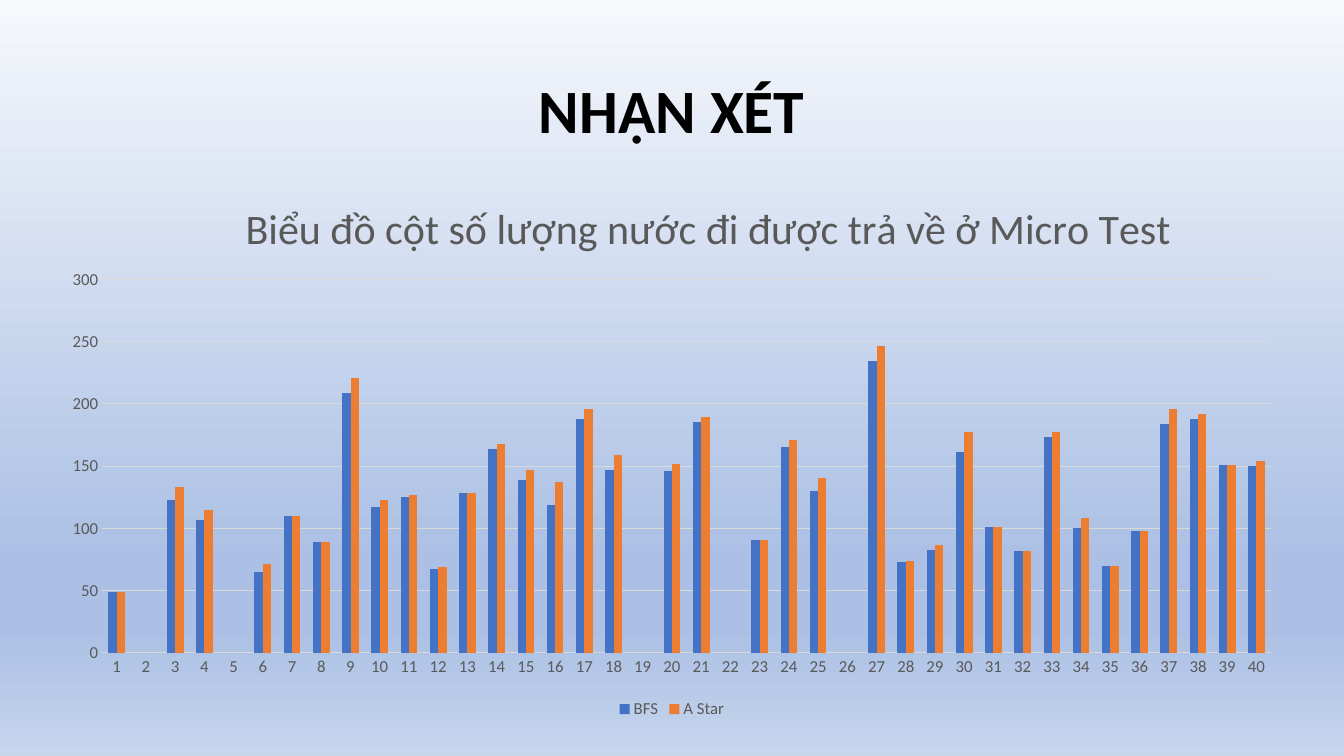
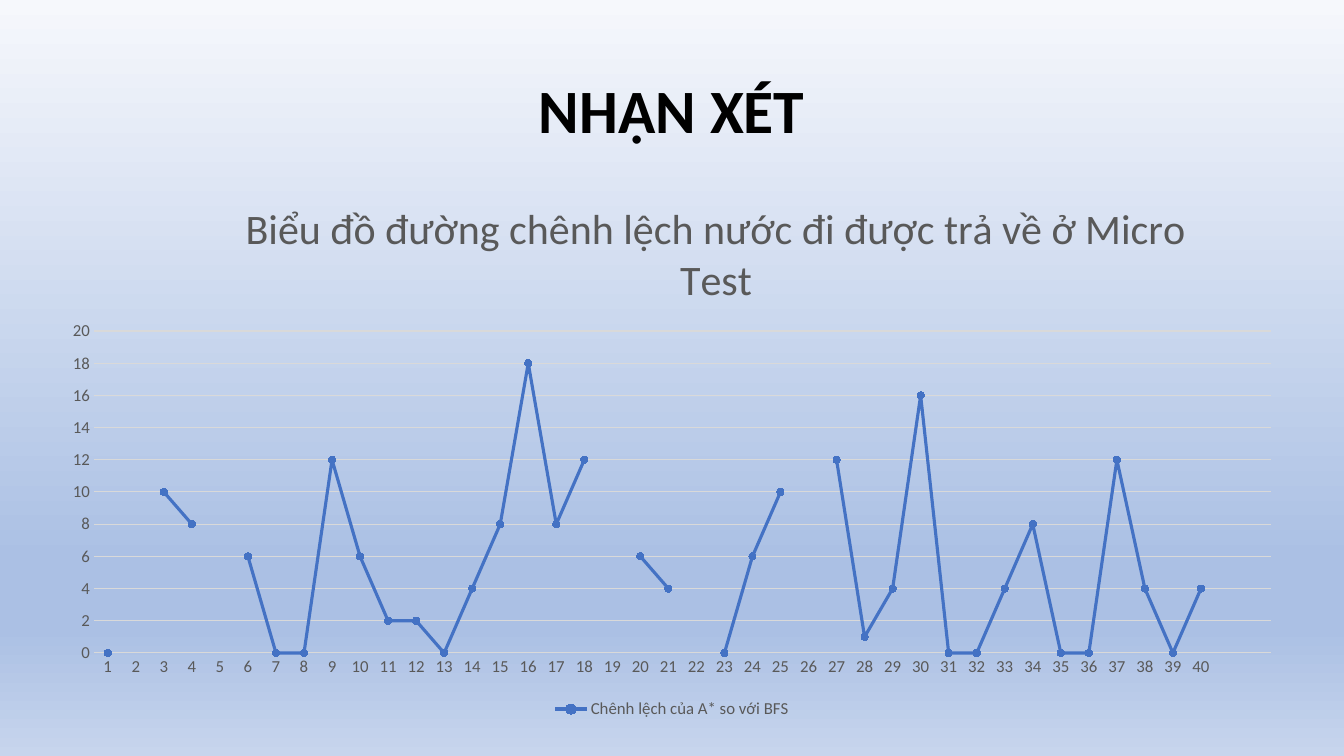
from dataclasses import dataclass

from lxml.etree import SubElement
from pptx import Presentation
from pptx.chart.axis import CategoryAxis, ValueAxis
from pptx.chart.chart import Chart
from pptx.chart.data import CategoryChartData
from pptx.dml.color import RGBColor
from pptx.enum.chart import XL_CHART_TYPE, XL_LEGEND_POSITION, XL_MARKER_STYLE, XL_TICK_MARK
from pptx.enum.text import MSO_ANCHOR, PP_ALIGN
from pptx.oxml.ns import qn
from pptx.oxml.xmlchemy import BaseOxmlElement
from pptx.presentation import Presentation as Deck
from pptx.slide import Slide
from pptx.text.text import Font
from pptx.util import Pt

FONT = "Calibri"
BLACK, GREY, GRID = "000000", "595959", "D9D9D9"
BLUE, ORANGE = "4472C4", "ED7D31"
SKY_STOPS = [(0, "F6F8FC"), (74, "ABC0E4"), (83, "ABC0E4"), (100, "C7D5ED")]
HEADING = "NHẬN XÉT"
LEVELS = [str(level) for level in range(1, 41)]

BFS_MOVES = [
    49, None, 123, 107, None, 65, 110, 89, 209, 117, 125, 67, 128, 164,
    139, 119, 188, 147, None, 146, 185, None, 91, 165, 130, None, 234, 73,
    83, 161, 101, 82, 173, 100, 70, 98, 184, 188, 151, 150,
]
A_STAR_MOVES = [
    49, None, 133, 115, None, 71, 110, 89, 221, 123, 127, 69, 128, 168,
    147, 137, 196, 159, None, 152, 189, None, 91, 171, 140, None, 246, 74,
    87, 177, 101, 82, 177, 108, 70, 98, 196, 192, 151, 154,
]
MOVE_GAPS = [
    0, None, 10, 8, None, 6, 0, 0, 12, 6, 2, 2, 0, 4,
    8, 18, 8, 12, None, 6, 4, None, 0, 6, 10, None, 12, 1,
    4, 16, 0, 0, 4, 8, 0, 0, 12, 4, 0, 4,
]


@dataclass(frozen=True)
class Box:
    """Left, top, width and height, in points."""

    left: float
    top: float
    width: float
    height: float


@dataclass(frozen=True)
class Measure:
    """One named series of the test levels."""

    name: str
    values: list[int | None]
    color: str


@dataclass(frozen=True)
class Comparison:
    """One chart slide; plot is measured from the chart's corner."""

    title: str
    kind: XL_CHART_TYPE
    categories: list[str]
    measures: list[Measure]
    maximum: int
    step: int
    plot: Box


HEADING_BOX = Box(66, 28.8, 828, 104.4)
CHART_BOX = Box(34, 129, 892, 387.5)
CHART_TITLE_SPOT = Box(136, 8, 0, 0)

COMPARISONS = [
    Comparison(
        "Biểu đồ cột số lượng nước đi được trả về ở Micro Test",
        XL_CHART_TYPE.COLUMN_CLUSTERED,
        LEVELS,
        [Measure("BFS", BFS_MOVES, BLUE), Measure("A Star", A_STAR_MOVES, ORANGE)],
        300,
        50,
        Box(39, 70.5, 835, 267),
    ),
    Comparison(
        "Biểu đồ đường chênh lệch nước đi được trả về ở Micro Test",
        XL_CHART_TYPE.LINE_MARKERS,
        LEVELS + ["", ""],
        [Measure("Chênh lệch của A* so với BFS", MOVE_GAPS, BLUE)],
        20,
        2,
        Box(33, 107.5, 841, 230),
    ),
]


def rgb(color: str) -> RGBColor:
    """Turn a hex string into a colour."""
    return RGBColor.from_string(color)


def style_font(font: Font, size: float, color: str, bold: bool = False) -> None:
    """Set the typeface, size, colour and weight."""
    font.name = FONT
    font.size = Pt(size)
    font.bold = bold
    font.color.rgb = rgb(color)


def paint_background(deck: Deck) -> None:
    """Give the master the vertical sky gradient."""
    master = deck.slide_master
    fill = master.background.fill
    fill.gradient()
    fill.gradient_angle = 270
    stops = master.element.find(".//" + qn("p:bgPr") + "//" + qn("a:gsLst"))
    for stop in list(stops):
        stops.remove(stop)
    for percent, color in SKY_STOPS:
        stop = SubElement(stops, qn("a:gs"), pos=str(percent * 1000))
        SubElement(stop, qn("a:srgbClr"), val=color)


def set_layout(parent: BaseOxmlElement, spot: Box) -> None:
    """Fix the place of a chart part, and its size where one is given."""
    layout = parent.find(qn("c:layout"))
    if layout is None:
        layout = SubElement(parent, qn("c:layout"))
        parent.insert(0 if parent.find(qn("c:tx")) is None else 1, layout)
    manual = SubElement(layout, qn("c:manualLayout"))
    settings: list[tuple[str, str]] = []
    if spot.width:
        settings.append(("layoutTarget", "inner"))
    settings += [("xMode", "edge"), ("yMode", "edge")]
    settings += [
        ("x", f"{spot.left / CHART_BOX.width:.4f}"),
        ("y", f"{spot.top / CHART_BOX.height:.4f}"),
    ]
    if spot.width:
        settings += [
            ("w", f"{spot.width / CHART_BOX.width:.4f}"),
            ("h", f"{spot.height / CHART_BOX.height:.4f}"),
        ]
    for name, value in settings:
        SubElement(manual, qn(f"c:{name}"), val=value)


def style_axis(axis: CategoryAxis | ValueAxis) -> None:
    """Apply the look that both axes share."""
    axis.major_tick_mark = XL_TICK_MARK.NONE
    axis.minor_tick_mark = XL_TICK_MARK.NONE
    style_font(axis.tick_labels.font, 12, GREY)


def style_axes(chart: Chart, comparison: Comparison) -> None:
    """Set the scale, grid and axis lines."""
    levels, moves = chart.category_axis, chart.value_axis
    style_axis(levels)
    style_axis(moves)
    levels.has_major_gridlines = False
    levels.format.line.color.rgb = rgb(GRID)
    levels.format.line.width = Pt(0.75)
    moves.minimum_scale = 0
    moves.maximum_scale = comparison.maximum
    moves.major_unit = comparison.step
    moves.format.line.fill.background()
    moves.has_major_gridlines = True
    moves.major_gridlines.format.line.color.rgb = rgb(GRID)
    moves.major_gridlines.format.line.width = Pt(0.75)


def style_series(chart: Chart, comparison: Comparison) -> None:
    """Colour the columns or the marked lines."""
    plot = chart.plots[0]
    plot.vary_by_categories = False
    is_line = comparison.kind == XL_CHART_TYPE.LINE_MARKERS
    if not is_line:
        plot.gap_width = 150
        plot.overlap = 0
    for series, measure in zip(plot.series, comparison.measures):
        color = rgb(measure.color)
        if is_line:
            series.smooth = False
            series.format.line.color.rgb = color
            series.format.line.width = Pt(2.25)
            series.marker.style = XL_MARKER_STYLE.CIRCLE
            series.marker.size = 5
            series.marker.format.fill.solid()
            series.marker.format.fill.fore_color.rgb = color
            series.marker.format.line.color.rgb = color
        else:
            series.format.fill.solid()
            series.format.fill.fore_color.rgb = color


def add_comparison_chart(slide: Slide, comparison: Comparison) -> None:
    """Draw the chart with its title and legend."""
    data = CategoryChartData()
    data.categories = comparison.categories
    for measure in comparison.measures:
        data.add_series(measure.name, measure.values)
    chart = slide.shapes.add_chart(
        comparison.kind,
        Pt(CHART_BOX.left),
        Pt(CHART_BOX.top),
        Pt(CHART_BOX.width),
        Pt(CHART_BOX.height),
        data,
    ).chart
    style_font(chart.font, 10, BLACK)

    chart.has_title = True
    run = chart.chart_title.text_frame.paragraphs[0].add_run()
    run.text = comparison.title
    style_font(run.font, 30, GREY)
    chart.chart_title.include_in_layout = False
    set_layout(chart.chart_title.element if hasattr(chart.chart_title, "element")
               else chart.chart_title._title, CHART_TITLE_SPOT)
    set_layout(chart.element.find(".//" + qn("c:plotArea")) if hasattr(chart, "element")
               else chart._chartSpace.find(".//" + qn("c:plotArea")), comparison.plot)

    chart.has_legend = True
    chart.legend.position = XL_LEGEND_POSITION.BOTTOM
    chart.legend.include_in_layout = False
    style_font(chart.legend.font, 12, GREY)

    style_axes(chart, comparison)
    style_series(chart, comparison)


def add_heading(slide: Slide) -> None:
    """Write the centred slide heading."""
    frame = slide.shapes.add_textbox(
        Pt(HEADING_BOX.left),
        Pt(HEADING_BOX.top),
        Pt(HEADING_BOX.width),
        Pt(HEADING_BOX.height),
    ).text_frame
    frame.word_wrap = True
    frame.vertical_anchor = MSO_ANCHOR.MIDDLE
    paragraph = frame.paragraphs[0]
    paragraph.alignment = PP_ALIGN.CENTER
    paragraph.line_spacing = 0.9
    run = paragraph.add_run()
    run.text = HEADING
    style_font(run.font, 44, BLACK, bold=True)


def main() -> None:
    """Build and save the two comparison slides."""
    deck = Presentation()
    deck.slide_width = Pt(960)
    deck.slide_height = Pt(540)
    paint_background(deck)
    for comparison in COMPARISONS:
        slide = deck.slides.add_slide(deck.slide_layouts[6])
        add_comparison_chart(slide, comparison)
        add_heading(slide)
    deck.save("out.pptx")


if __name__ == "__main__":
    main()
